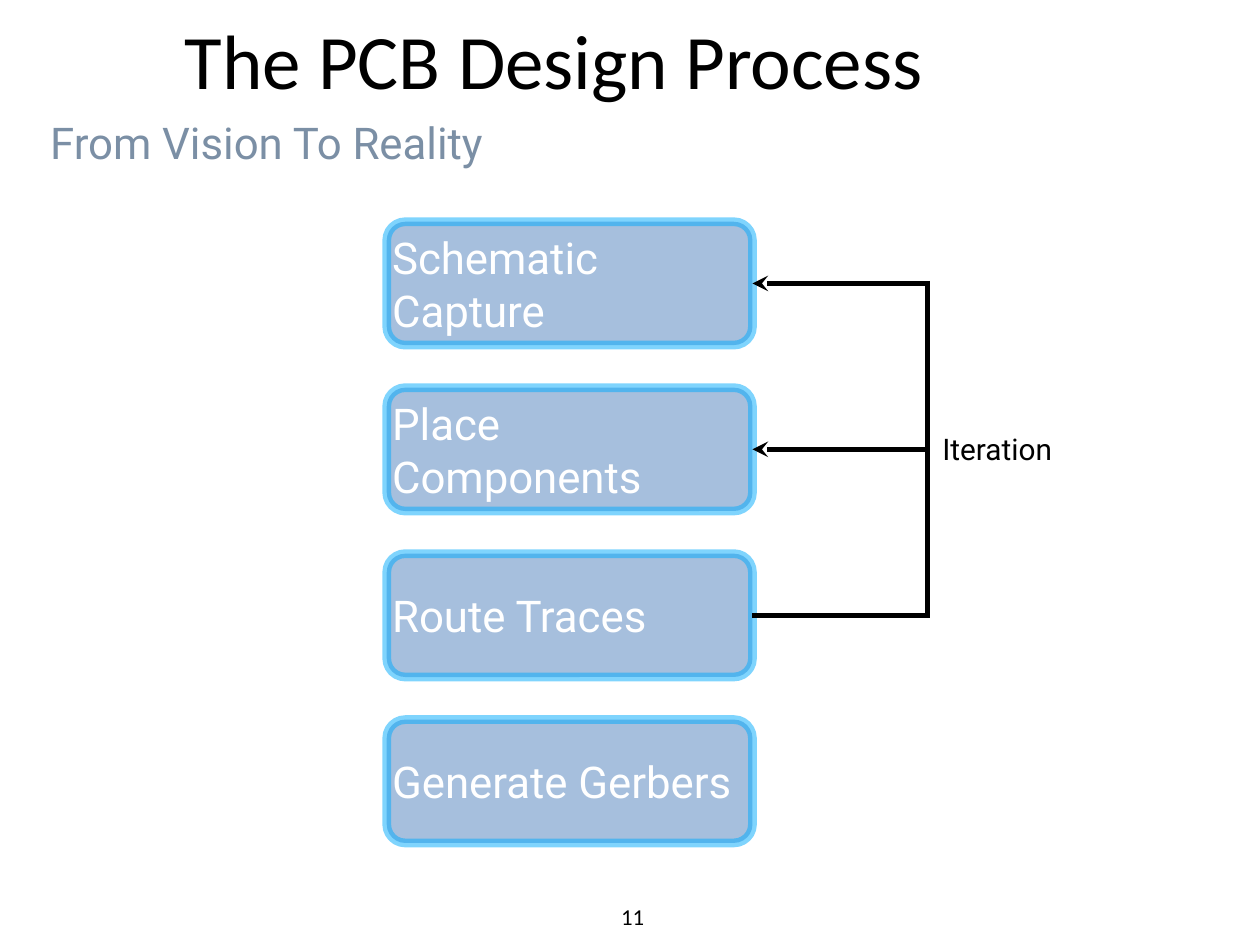
from lxml import etree
from pptx import Presentation
from pptx.dml.color import RGBColor
from pptx.enum.shapes import MSO_CONNECTOR, MSO_SHAPE
from pptx.enum.text import MSO_ANCHOR, PP_ALIGN
from pptx.oxml.ns import qn
from pptx.util import Pt

BLACK = RGBColor(0, 0, 0)
WHITE = RGBColor(255, 255, 255)
SLATE = RGBColor(0x7B, 0x8F, 0xA5)
BLUE = RGBColor(0x4F, 0x81, 0xBD)
SKY = RGBColor(0x00, 0xAA, 0xFD)
LEFT, CENTER = PP_ALIGN.LEFT, PP_ALIGN.CENTER
TOP, MIDDLE = MSO_ANCHOR.TOP, MSO_ANCHOR.MIDDLE
STRAIGHT = MSO_CONNECTOR.STRAIGHT
ROUNDED = MSO_SHAPE.ROUNDED_RECTANGLE
RIGHT_SIDE = 3
STEPS = ["Schematic Capture", "Place Components", "Route Traces", "Generate Gerbers"]


def set_text(shape, text, size, font, color, align=LEFT, anchor=MIDDLE, inset=(0, 0), wrap=True):
    """Write one styled paragraph into a shape."""
    frame = shape.text_frame
    frame.text = text
    frame.word_wrap = wrap
    frame.vertical_anchor = anchor
    frame.margin_left = frame.margin_right = Pt(inset[0])
    frame.margin_top = frame.margin_bottom = Pt(inset[1])
    para = frame.paragraphs[0]
    para.alignment = align
    run = para.runs[0]
    run.font.size = Pt(size)
    run.font.name = font
    run.font.color.rgb = color


def add_text(slide, box, *args, **style):
    """Add a text box at left, top, width, height."""
    set_text(slide.shapes.add_textbox(*map(Pt, box)), *args, **style)


def fade(format_part):
    """Make a solid fill half transparent."""
    color = format_part.find(qn("a:solidFill"))[0]
    etree.SubElement(color, qn("a:alpha")).set("val", "50000")


def add_step(slide, box, text):
    """Add one rounded process step."""
    step = slide.shapes.add_shape(ROUNDED, *map(Pt, box))
    step.adjustments[0] = 0.15
    step.shadow.inherit = False
    step.fill.solid()
    step.fill.fore_color.rgb = BLUE
    step.line.color.rgb = SKY
    step.line.width = Pt(5)
    props = step._element.spPr
    fade(props)
    fade(props.find(qn("a:ln")))
    set_text(step, text, 25, "Roboto", WHITE)
    return step


def add_steps(slide, box):
    """Stack the process steps evenly in the box."""
    left, top, width, height = box
    tall = 70.5
    pitch = (height - tall) / (len(STEPS) - 1)
    return [add_step(slide, (left, top + i * pitch, width, tall), text)
            for i, text in enumerate(STEPS)]


def add_line(slide, start, end, source=None, arrow=False):
    """Draw a black line, joined to the source's right side if given."""
    line = slide.shapes.add_connector(STRAIGHT, *map(Pt, start + end))
    if source is not None:
        line.begin_connect(source, RIGHT_SIDE)
    line.line.color.rgb = BLACK
    line.line.width = Pt(3)
    if arrow:
        etree.SubElement(line.line._ln, qn("a:headEnd")).set("type", "stealth")
    etree.SubElement(line._element.spPr, qn("a:effectLst"))


def add_loop(slide, steps, spine):
    """Link the steps to a vertical spine that marks the iteration."""
    mids = [(step.top + step.height / 2) / Pt(1) for step in steps]
    edge = (steps[0].left + steps[0].width) / Pt(1)
    for step, mid in zip(steps, mids):
        add_line(slide, (edge, mid), (spine, mid), step, arrow=step is not steps[-1])
    add_line(slide, (spine, mids[0] - 1.5), (spine, mids[-1] + 1.5))
    add_text(slide, (spine + 8.5, mids[1] - 11, 67, 21), "Iteration", 17, "Roboto", BLACK, wrap=False)


def add_heads(slide, box):
    """Add the title and the subtitle below it."""
    left, top, width, height = box
    add_text(slide, (left, top, width, 67), "The PCB Design Process", 44, "Calibri", BLACK,
             align=CENTER, inset=(7.2, 3.6))
    add_text(slide, (left + 2, top + height - 35, width - 2, 35),
             "From Vision To Reality", 25, "Roboto", SLATE)


def add_number(slide, box):
    """Add the page number on one line."""
    add_text(slide, box, "11", 13, "Calibri", BLACK, anchor=TOP, inset=(5, 3))


def main():
    """Build and save the slide."""
    deck = Presentation()
    deck.slide_width, deck.slide_height = Pt(720), Pt(540)
    slide = deck.slides.add_slide(deck.slide_layouts[6])
    add_heads(slide, (26.7, 0, 580, 98.5))
    steps = add_steps(slide, (221, 126.7, 209, 355))
    add_loop(slide, steps[:3], 530)
    add_number(slide, (350, 512.6, 30, 22))
    deck.save("out.pptx")


if __name__ == "__main__":
    main()
